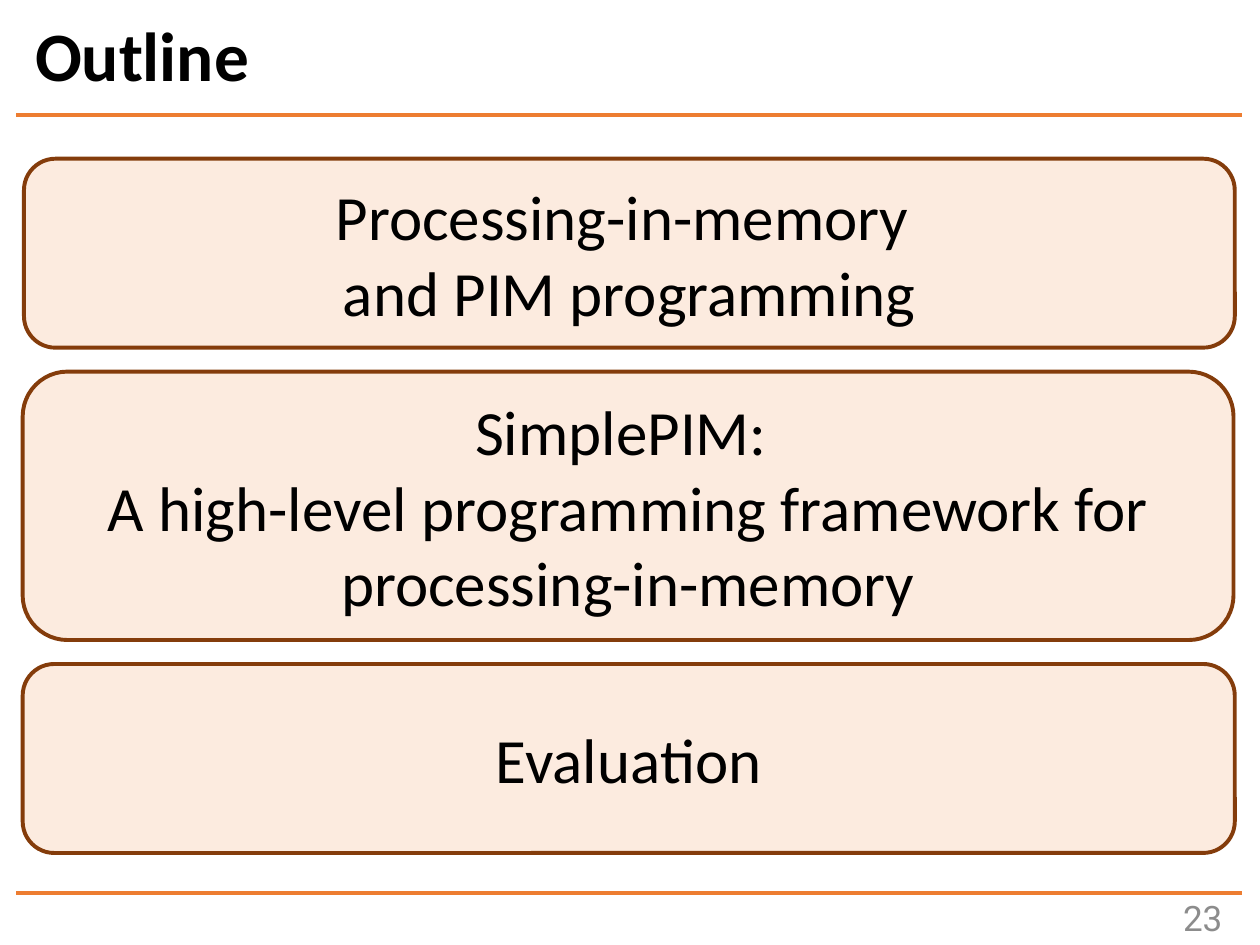
import pptx
import pptx.dml.color
import pptx.enum.shapes
import pptx.enum.text
import pptx.util
from lxml import etree
from pptx.oxml.ns import qn

RGBColor = pptx.dml.color.RGBColor
ALIGN = pptx.enum.text.PP_ALIGN
SHAPES = pptx.enum.shapes.MSO_SHAPE

PX = 9144  # 100 px to the inch
WIDTH, HEIGHT = 1000, 750

BLACK = RGBColor(0x00, 0x00, 0x00)
GREY = RGBColor(0x8C, 0x8C, 0x8C)
ORANGE = RGBColor(0xED, 0x7D, 0x31)
PEACH = RGBColor(0xF4, 0xB1, 0x83)
BROWN = RGBColor(0x84, 0x3C, 0x0B)
PEACH_OPACITY = 25

TOPICS = [
    ((19, 126, 961, 150), ["Processing-in-memory ", "and PIM programming"]),
    ((18, 295, 961, 213), ["SimplePIM: ",
                           "A high-level programming framework for processing-in-memory"]),
    ((18, 527, 962, 150), ["Evaluation"]),
]


def emu(*lengths):
    return [pptx.util.Emu(length * PX) for length in lengths]


def write(shape, lines, *, size, font="Calibri", color=BLACK, bold=False,
          align=ALIGN.LEFT, spacing=1.0):
    frame = shape.text_frame
    frame.word_wrap = True
    frame.vertical_anchor = pptx.enum.text.MSO_ANCHOR.MIDDLE
    for index, line in enumerate(lines):
        paragraph = frame.add_paragraph() if index else frame.paragraphs[0]
        paragraph.alignment = align
        paragraph.line_spacing = spacing
        run = paragraph.add_run()
        run.text = line
        run.font.name = font
        run.font.size = pptx.util.Pt(size)
        run.font.bold = bold
        run.font.color.rgb = color


def add_rule(slide, left, right, y):
    rule = slide.shapes.add_connector(
        pptx.enum.shapes.MSO_CONNECTOR.STRAIGHT, *emu(left, y, right, y))
    rule.line.color.rgb = ORANGE
    rule.line.width = pptx.util.Pt(2.25)
    etree.SubElement(rule._element.spPr, qn("a:effectLst"))


def add_header(slide, left, top, width, height):
    title = slide.shapes.add_textbox(*emu(left + 5, top, width, 66))
    write(title, ["Outline"], size=39.6, bold=True, spacing=0.9)
    add_rule(slide, left, left + width, top + height)


def add_footer(slide, left, top, width, height):
    add_rule(slide, left, left + width, top)
    number = slide.shapes.add_textbox(*emu(left + width - 114, top - 1, 108, height))
    write(number, ["23"], size=20, font="Roboto", color=GREY, align=ALIGN.RIGHT)


def add_topic(slide, box, lines):
    topic = slide.shapes.add_shape(SHAPES.ROUNDED_RECTANGLE, *emu(*box))
    topic.shadow.inherit = False
    topic.fill.solid()
    topic.fill.fore_color.rgb = PEACH
    tint = topic._element.spPr.find(f"{qn('a:solidFill')}/{qn('a:srgbClr')}")
    etree.SubElement(tint, qn("a:alpha"), val=str(PEACH_OPACITY * 1000))
    topic.line.color.rgb = BROWN
    topic.line.width = pptx.util.Pt(2.25)
    write(topic, lines, size=36, align=ALIGN.CENTER)


def main():
    deck = pptx.Presentation()
    deck.slide_width, deck.slide_height = emu(WIDTH, HEIGHT)
    slide = deck.slides.add_slide(deck.slide_layouts[6])
    add_header(slide, 13, 14, 973, 77)
    for box, lines in TOPICS:
        add_topic(slide, box, lines)
    add_footer(slide, 13, 709, 973, 40)
    deck.save("out.pptx")


if __name__ == "__main__":
    main()
